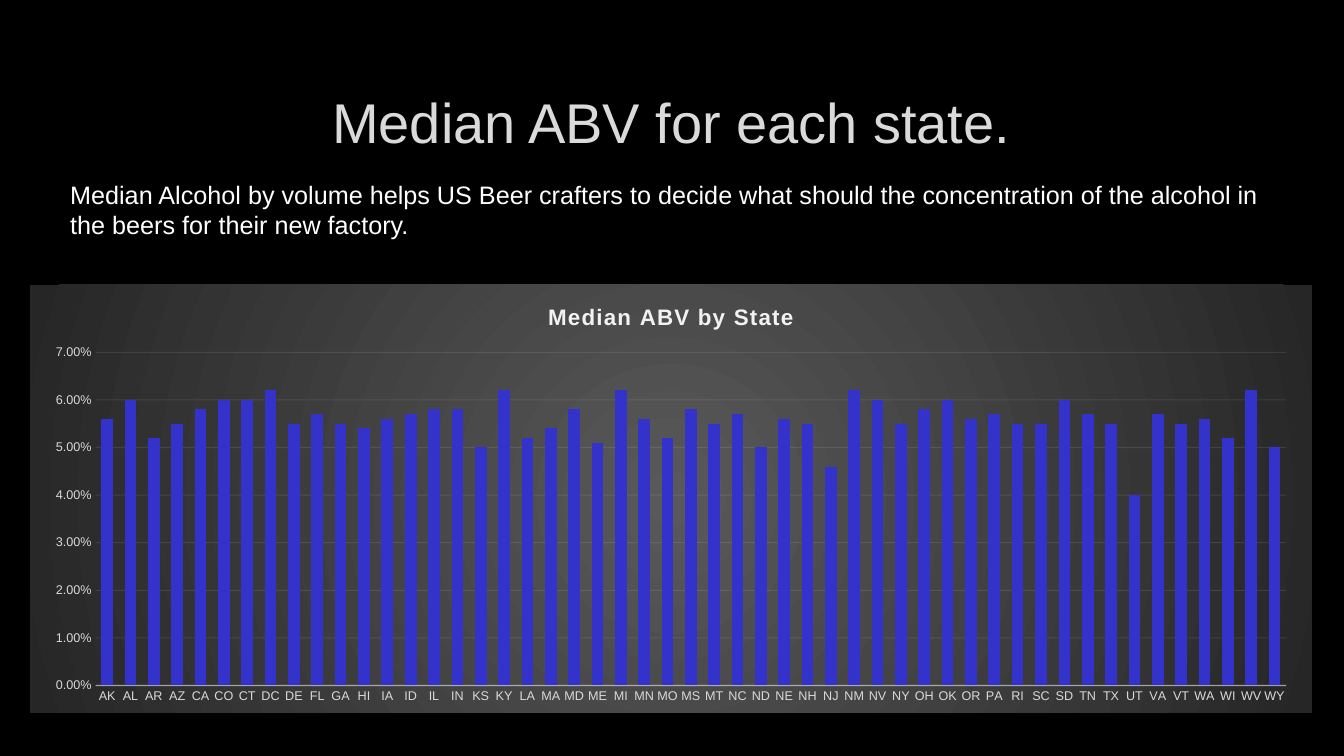
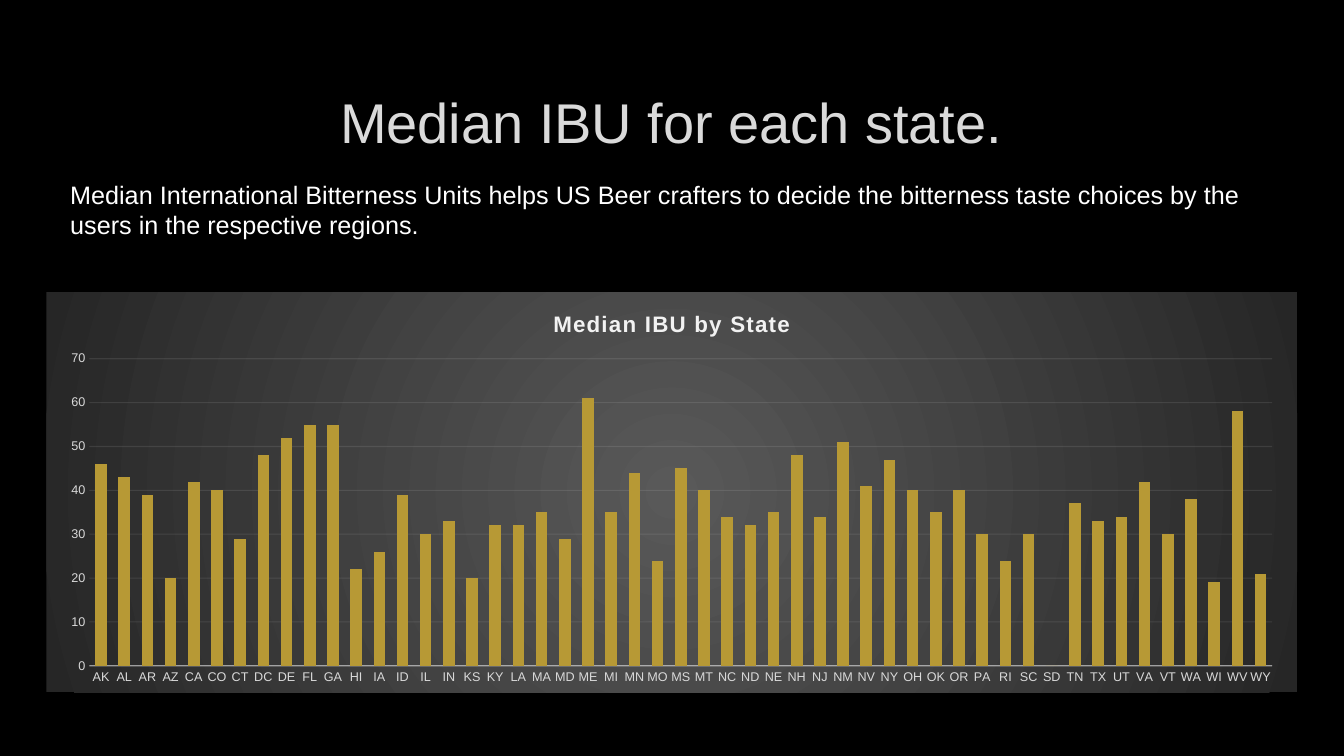
from dataclasses import dataclass

from lxml.etree import SubElement
from pptx import Presentation
from pptx.chart.data import CategoryChartData
from pptx.dml.color import RGBColor
from pptx.enum.chart import XL_CHART_TYPE as ChartType, XL_TICK_MARK as TickMark
from pptx.enum.text import MSO_ANCHOR as Anchor, MSO_AUTO_SIZE as AutoSize, PP_ALIGN as Align
from pptx.oxml import parse_xml
from pptx.oxml.ns import nsdecls, qn
from pptx.util import Cm, Pt


@dataclass(frozen=True)
class Theme:
    font: str = "Arial"
    background: str = "000000"
    title: str = "DADADA"
    title_outline: str = "404040"
    body: str = "FFFFFF"
    axis_text: str = "D9D9D9"
    chart_line: str = "F2F2F2"
    panel_center: str = "595959"
    panel_edge: str = "262626"
    title_size: int = 40
    body_size: int = 18
    chart_title_size: int = 16
    chart_size: int = 10
    axis_size: int = 9


THEME = Theme()

STATES = (
    "AK AL AR AZ CA CO CT DC DE FL GA HI IA ID IL IN KS KY LA MA MD ME MI MN MO MS "
    "MT NC ND NE NH NJ NM NV NY OH OK OR PA RI SC SD TN TX UT VA VT WA WI WV WY"
).split()

# Boxes are left, top, width, height in centimetres.
TITLE_BOX = (2.54, 1.7, 28.75, 2.7)
BODY_BOX = (1.52, 4.4, 30.48, 1.8)

SLIDES = [
    dict(
        title="Median ABV for each state.",
        body="Median Alcohol by volume helps US Beer crafters to decide what should the "
             "concentration of the alcohol in the beers for their new factory.",
        chart_title="Median ABV by State",
        chart_box=(0.76, 7.18, 32.3, 10.78),
        bar_color="3333CC",
        number_format="0.00%",
        axis_max=0.07,
        axis_step=0.01,
        medians=[
            0.056, 0.06, 0.052, 0.055, 0.058, 0.06, 0.06, 0.062, 0.055, 0.057, 0.055,
            0.054, 0.056, 0.057, 0.058, 0.058, 0.05, 0.062, 0.052, 0.054, 0.058, 0.051,
            0.062, 0.056, 0.052, 0.058, 0.055, 0.057, 0.05, 0.056, 0.055, 0.046, 0.062,
            0.06, 0.055, 0.058, 0.06, 0.056, 0.057, 0.055, 0.055, 0.06, 0.057, 0.055,
            0.04, 0.057, 0.055, 0.056, 0.052, 0.062, 0.05,
        ],
    ),
    dict(
        title="Median IBU for each state.",
        body="Median International Bitterness Units helps US Beer crafters to decide the "
             "bitterness taste choices by the users in the respective regions.",
        chart_title="Median IBU by State",
        chart_box=(1.17, 7.37, 31.52, 10.08),
        bar_color="B79935",
        number_format="General",
        axis_max=70,
        axis_step=10,
        medians=[
            46, 43, 39, 20, 42, 40, 29, 48, 52, 55, 55, 22, 26, 39, 30, 33, 20, 32, 32,
            35, 29, 61, 35, 44, 24, 45, 40, 34, 32, 35, 48, 34, 51, 41, 47, 40, 35, 40,
            30, 24, 30, 0, 37, 33, 34, 42, 30, 38, 19, 58, 21,
        ],
    ),
]


def rgb(color):
    return RGBColor.from_string(color)


def set_font(font, size, color, bold=False):
    font.name = THEME.font
    font.size = Pt(size)
    font.bold = bold
    font.color.rgb = rgb(color)


def add_text(slide, box, text, *, size, color, align=Align.LEFT, anchor=Anchor.TOP,
             auto_size=AutoSize.NONE):
    frame = slide.shapes.add_textbox(*map(Cm, box)).text_frame
    frame.word_wrap = True
    frame.auto_size = auto_size
    frame.vertical_anchor = anchor
    paragraph = frame.paragraphs[0]
    paragraph.alignment = align
    run = paragraph.add_run()
    run.text = text
    set_font(run.font, size, color)
    return run


def outline_text(run, color, opacity):
    run.font._element.insert(0, parse_xml(
        f'<a:ln {nsdecls("a")} w="9525"><a:solidFill><a:srgbClr val="{color}">'
        f'<a:alpha val="{opacity * 1000}"/></a:srgbClr></a:solidFill></a:ln>'))


def style_line(line, width, opacity):
    line.width = Pt(width)
    line.color.rgb = rgb(THEME.chart_line)
    for color in line._get_or_add_ln().iter(qn("a:srgbClr")):
        SubElement(color, qn("a:alpha")).set("val", str(opacity * 1000))


def fill_panel(chart):
    """Give the chart area a radial gradient, which python-pptx cannot set."""
    chart._chartSpace.find(qn("c:chart")).addnext(parse_xml(
        f'<c:spPr {nsdecls("c", "a")}><a:gradFill><a:gsLst>'
        f'<a:gs pos="0"><a:srgbClr val="{THEME.panel_center}"/></a:gs>'
        f'<a:gs pos="100000"><a:srgbClr val="{THEME.panel_edge}"/></a:gs></a:gsLst>'
        '<a:path path="circle"><a:fillToRect l="50000" t="50000" r="50000" b="50000"/>'
        '</a:path></a:gradFill><a:ln><a:noFill/></a:ln></c:spPr>'))


def add_state_chart(slide, content):
    data = CategoryChartData(number_format=content["number_format"])
    data.categories = STATES
    data.add_series("Series 1", content["medians"])
    chart = slide.shapes.add_chart(
        ChartType.COLUMN_CLUSTERED, *map(Cm, content["chart_box"]), data).chart
    set_font(chart.font, THEME.chart_size, THEME.body)
    fill_panel(chart)
    chart.has_legend = False

    chart.has_title = True
    heading = chart.chart_title.text_frame.paragraphs[0].add_run()
    heading.text = content["chart_title"]
    set_font(heading.font, THEME.chart_title_size, THEME.chart_line, bold=True)
    heading.font._element.set("spc", "100")
    chart.chart_title.include_in_layout = False

    plot = chart.plots[0]
    plot.vary_by_categories = False
    plot.gap_width = 100
    plot.overlap = -24
    bars = plot.series[0].format
    bars.fill.solid()
    bars.fill.fore_color.rgb = rgb(content["bar_color"])
    bars.line.fill.background()

    states, medians = chart.category_axis, chart.value_axis
    for axis in (states, medians):
        axis.major_tick_mark = axis.minor_tick_mark = TickMark.NONE
        set_font(axis.tick_labels.font, THEME.axis_size, THEME.axis_text)
    style_line(states.format.line, 1, 54)
    medians.format.line.fill.background()
    style_line(medians.major_gridlines.format.line, 0.75, 10)
    medians.minimum_scale = 0
    medians.maximum_scale = content["axis_max"]
    medians.major_unit = content["axis_step"]
    medians.tick_labels.number_format = content["number_format"]
    medians.tick_labels.number_format_is_linked = False


def add_median_slide(deck, content):
    slide = deck.slides.add_slide(deck.slide_layouts[6])
    slide.background.fill.solid()
    slide.background.fill.fore_color.rgb = rgb(THEME.background)
    title = add_text(slide, TITLE_BOX, content["title"], size=THEME.title_size,
                     color=THEME.title, align=Align.CENTER, anchor=Anchor.MIDDLE)
    outline_text(title, THEME.title_outline, 10)
    add_state_chart(slide, content)
    add_text(slide, BODY_BOX, content["body"], size=THEME.body_size, color=THEME.body,
             auto_size=AutoSize.SHAPE_TO_FIT_TEXT)


def main():
    deck = Presentation()
    deck.slide_width, deck.slide_height = Cm(33.87), Cm(19.05)
    for content in SLIDES:
        add_median_slide(deck, content)
    deck.save("out.pptx")


if __name__ == "__main__":
    main()
